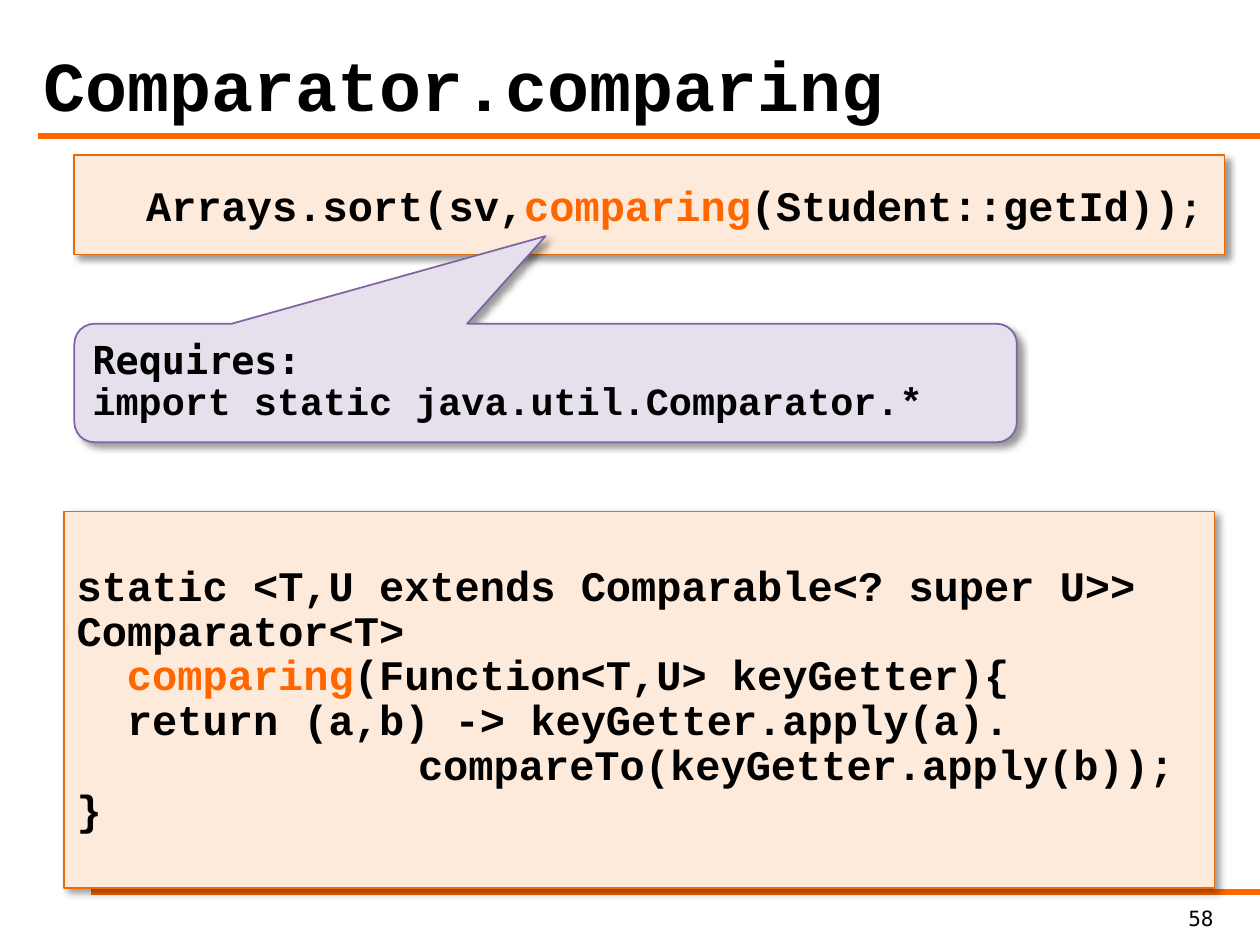
from lxml import etree
from pptx import Presentation
from pptx.dml.color import RGBColor
from pptx.enum.shapes import MSO_CONNECTOR, MSO_SHAPE
from pptx.enum.text import MSO_ANCHOR as Anchor, PP_ALIGN as Align
from pptx.oxml import parse_xml
from pptx.oxml.ns import nsdecls, qn
from pptx.util import Inches, Pt

COLORS = {
    "black": "000000", "orange": "FF6600",
    "peach": "FDEADA", "rust": "E46C0A",
    "lilac": "E6E0EC", "purple": "8064A2",
}
CODE = "Courier New"
SANS = "DejaVu Sans Mono"


def color(name):
    return RGBColor.from_string(COLORS[name])


def add_rule(slide, left, y):
    """Draw an orange rule from left to the slide's right edge."""
    rule = slide.shapes.add_connector(
        MSO_CONNECTOR.STRAIGHT, Inches(left), Inches(y), Inches(10), Inches(y))
    rule.line.color.rgb = color("orange")
    rule.line.width = Pt(3)
    etree.SubElement(rule._element.spPr, qn("a:effectLst"))


def add_box(slide, kind, area, fill, edge):
    """Add a filled shape with a soft shadow to the lower right."""
    box = slide.shapes.add_shape(kind, *map(Inches, area))
    box.fill.solid()
    box.fill.fore_color.rgb = color(fill)
    box.line.color.rgb = color(edge)
    box.line.width = Pt(1)
    box._element.spPr.append(parse_xml(
        f'<a:effectLst {nsdecls("a")}>'
        f'<a:outerShdw blurRad="{Pt(4)}" dist="{Pt(3)}" dir="2700000" algn="tl" rotWithShape="0">'
        f'<a:srgbClr val="{COLORS["black"]}"><a:alpha val="40000"/></a:srgbClr>'
        '</a:outerShdw></a:effectLst>'))
    return box


def add_label(slide, area):
    return slide.shapes.add_textbox(*map(Inches, area))


def set_text(shape, lines, size, font=CODE, bold=True, space=None,
             align=Align.LEFT, anchor=Anchor.MIDDLE, inset=0.1):
    """Fill a shape; each line is a list of (text, overrides) runs."""
    frame = shape.text_frame
    frame.word_wrap = True
    frame.vertical_anchor = anchor
    frame.margin_left = Inches(inset)
    for i, line in enumerate(lines):
        para = frame.paragraphs[0] if i == 0 else frame.add_paragraph()
        para.alignment = align
        if space:
            para.line_spacing = space
        for text, own in line:
            run = para.add_run()
            run.text = text
            run.font.name = own.get("font", font)
            run.font.size = Pt(own.get("size", size))
            run.font.bold = bold
            run.font.color.rgb = color(own.get("color", "black"))
    return frame


def add_tab(para, stop):
    tabs = etree.SubElement(para._p.get_or_add_pPr(), qn("a:tabLst"))
    etree.SubElement(tabs, qn("a:tab"), pos=str(Inches(stop)), algn="l")


def main():
    deck = Presentation()
    deck.slide_width, deck.slide_height = Inches(10), Inches(7.5)
    slide = deck.slides.add_slide(deck.slide_layouts[6])
    name = ("comparing", {"color": "orange"})

    add_rule(slide, 0.3, 1.08)
    add_rule(slide, 0.72, 7.08)
    add_box(slide, MSO_SHAPE.RECTANGLE, (0.59, 1.23, 9.13, 0.79), "peach", "rust")

    title = add_label(slide, (0.25, 0.28, 9.41, 0.77))
    set_text(title, [[("Comparator.comparing", {})]], 40)

    call = add_label(slide, (0.66, 1.42, 9.1, 0.5))
    set_text(call, [[("Arrays.sort(sv,", {}), name, ("(Student::getId))", {}),
                     (";", {"size": 22})]],
             24, space=0.9, anchor=Anchor.TOP, inset=0.5)

    number = add_label(slide, (8.25, 7.14, 1.48, 0.33))
    set_text(number, [[("58", {})]], 12, SANS, bold=False,
             align=Align.RIGHT, anchor=Anchor.TOP)

    note = add_box(slide, MSO_SHAPE.ROUNDED_RECTANGULAR_CALLOUT,
                   (0.59, 2.57, 7.48, 0.94), "lilac", "purple")
    for i, value in enumerate((0, -1.24, 0.17)):
        note.adjustments[i] = value
    set_text(note, [[("Requires:", {"font": SANS})],
                    [("import static java.util.Comparator.*", {})]],
             22, space=0.89)

    body = add_box(slide, MSO_SHAPE.RECTANGLE, (0.51, 4.06, 9.13, 2.99), "peach", "rust")
    frame = set_text(body, [
        [("static <T,U extends Comparable<? super U>> Comparator<T>", {})],
        [("  ", {}), name, ("(Function<T,U> keyGetter){", {})],
        [("  return (a,b) -> keyGetter.apply(a).", {})],
        [("\tcompareTo(keyGetter.apply(b));", {})],
        [("}", {})],
    ], 24, space=0.89)
    add_tab(frame.paragraphs[3], 2.71)

    deck.save("out.pptx")


if __name__ == "__main__":
    main()
